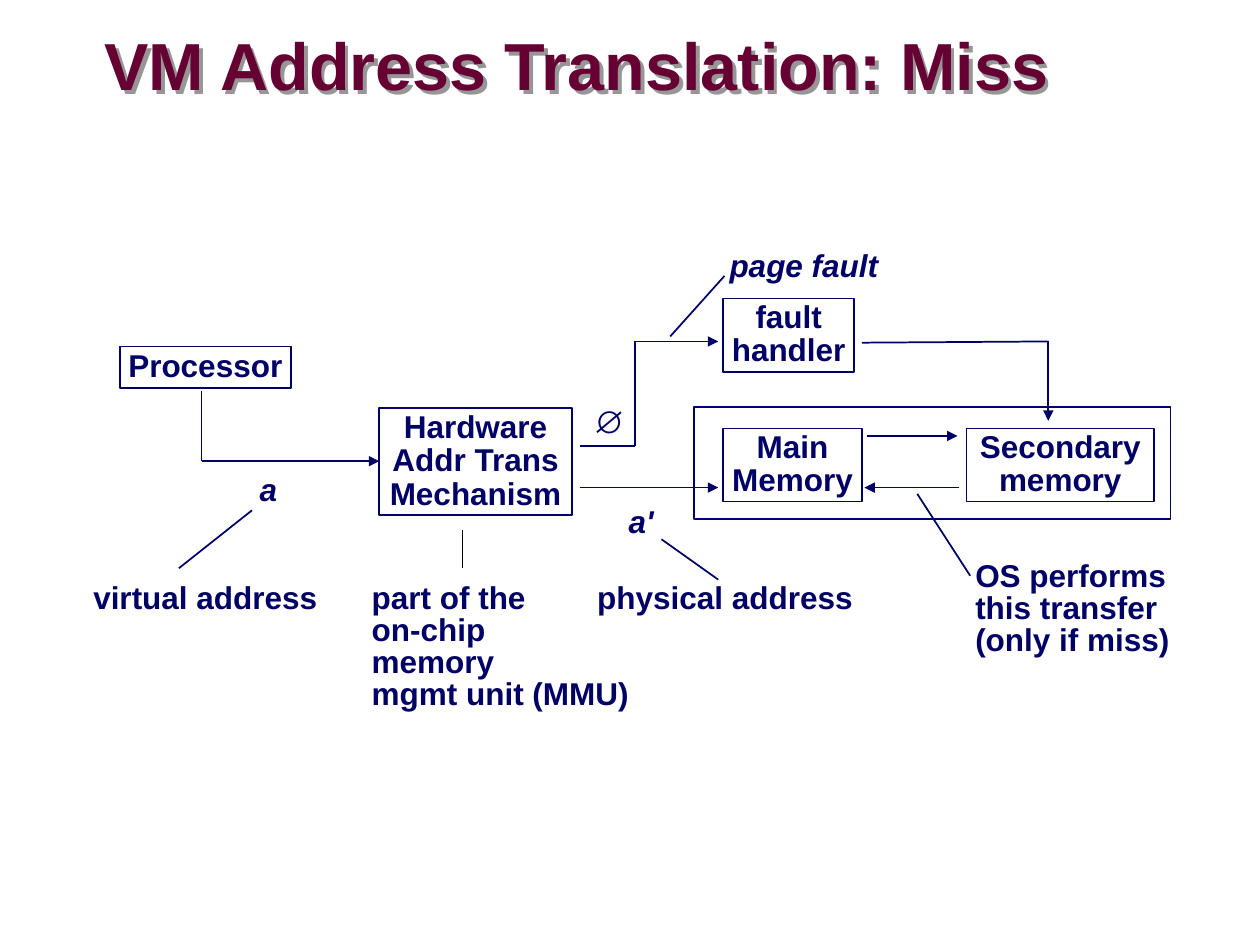
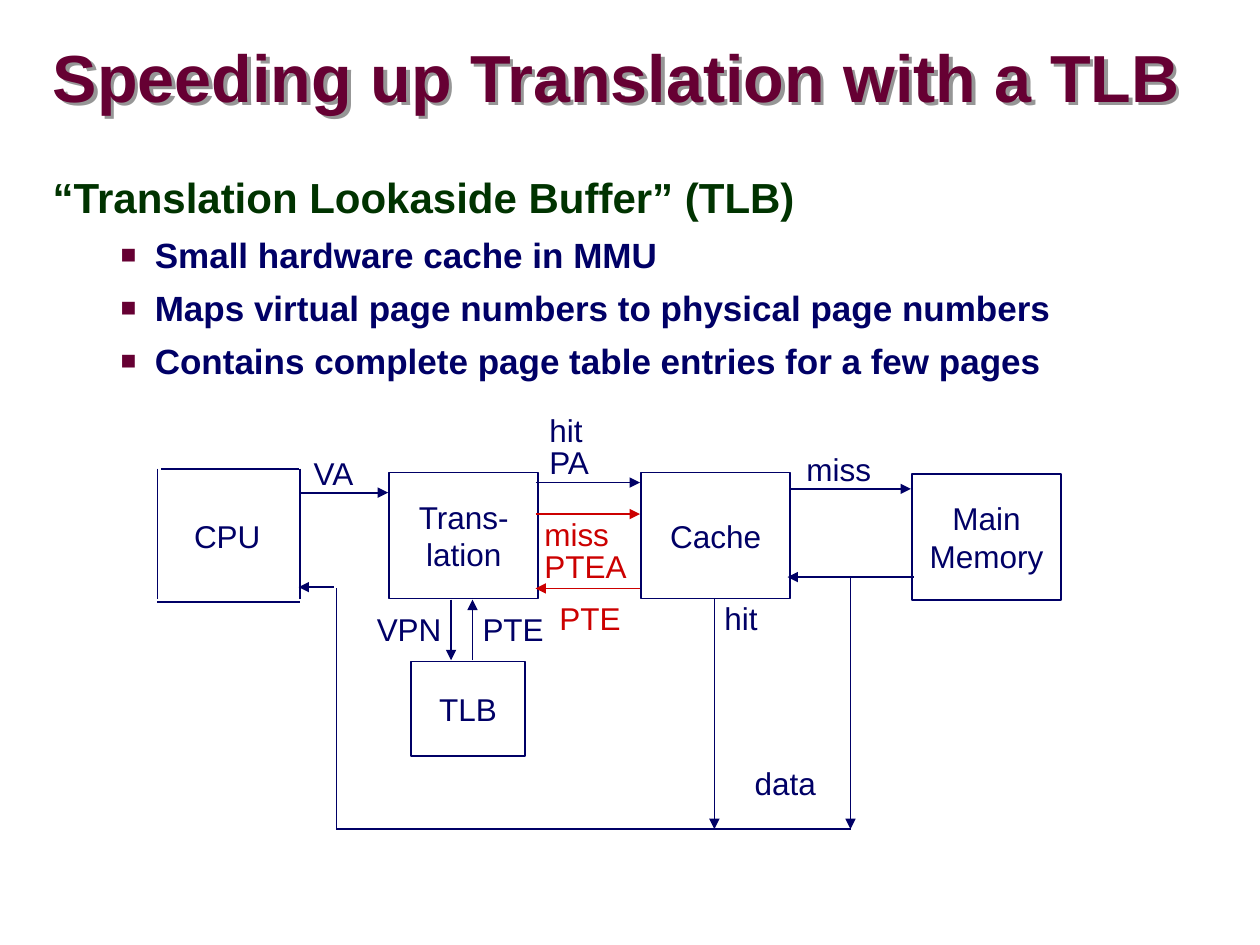
"""Build two slides on virtual memory address translation."""
from dataclasses import dataclass
from itertools import pairwise

from lxml.etree import SubElement
from pptx import Presentation
from pptx.dml.color import RGBColor
from pptx.enum.shapes import MSO_CONNECTOR as Connector, MSO_SHAPE as Preset
from pptx.enum.text import MSO_ANCHOR as Anchor, MSO_AUTO_SIZE as AutoSize, PP_ALIGN as Align
from pptx.oxml import parse_xml
from pptx.oxml.ns import nsdecls, qn
from pptx.util import Pt

EMU_PER_PX = 9144
LABEL_SLACK = 20


@dataclass(frozen=True)
class Theme:
    """Colours, font and type sizes shared by the slides."""
    font: str = "Arial"
    maroon: str = "660033"
    navy: str = "000066"
    green: str = "003300"
    red: str = "CC0000"
    black: str = "000000"
    shadow: str = "969696"
    title_size: int = 38
    heading_size: int = 24
    bullet_size: int = 20
    label_size: int = 18


THEME = Theme()


def px(length):
    """Turn px into EMU."""
    return length * EMU_PER_PX


def place(shape, bounds):
    """Move a shape to left, top, width, height in px."""
    shape.left, shape.top, shape.width, shape.height = map(px, bounds)


def format_paragraph(paragraph, size, color, bold=False, italic=False, spacing=1.0):
    """Set the line spacing and the look of the runs."""
    paragraph.line_spacing = spacing
    for run in paragraph.runs:
        font = run.font
        font.name, font.size, font.bold, font.italic = THEME.font, Pt(size), bold, italic
        font.color.rgb = RGBColor.from_string(color)


def set_insets(frame, horizontal, vertical):
    """Set equal side margins and equal top and bottom margins."""
    frame.margin_left = frame.margin_right = px(horizontal)
    frame.margin_top = frame.margin_bottom = px(vertical)


def add_title_slide(presentation, title, bounds):
    """Add a title-only slide with a shadowed title."""
    slide = presentation.slides.add_slide(presentation.slide_layouts[5])
    shape = slide.shapes.title
    place(shape, bounds)
    shape.fill.background()
    shape._element.spPr.append(parse_xml(
        f'<a:effectLst {nsdecls("a")}><a:outerShdw dist="{px(4)}" dir="2700000" algn="ctr" '
        f'rotWithShape="0"><a:srgbClr val="{THEME.shadow}"/></a:outerShdw></a:effectLst>'))
    frame = shape.text_frame
    frame.text = title
    frame.auto_size = AutoSize.NONE
    frame.vertical_anchor = Anchor.MIDDLE
    set_insets(frame, 0, 0)
    paragraph = frame.paragraphs[0]
    paragraph.alignment = Align.LEFT
    format_paragraph(paragraph, THEME.title_size, THEME.maroon, bold=True, spacing=0.87)
    return slide


def add_box(slide, bounds, text="", bold=False, spacing=1.0, wrap=False):
    """Add an outlined rectangle with centred text."""
    shape = slide.shapes.add_shape(Preset.RECTANGLE, *map(px, bounds))
    shape.shadow.inherit = False
    shape.fill.background()
    shape.line.color.rgb = RGBColor.from_string(THEME.navy)
    shape.line.width = Pt(1)
    frame = shape.text_frame
    frame.text = text
    frame.word_wrap = wrap
    frame.vertical_anchor = Anchor.MIDDLE
    set_insets(frame, 7, 3)
    for paragraph in frame.paragraphs:
        paragraph.alignment = Align.CENTER
        format_paragraph(paragraph, THEME.label_size, THEME.navy, bold, spacing=spacing)


def add_label(slide, bounds, text, color=THEME.navy, bold=False, italic=False):
    """Add a free-standing label with spare width so that its lines never break."""
    left, top, width, height = bounds
    frame = slide.shapes.add_textbox(
        *map(px, (left, top, width + LABEL_SLACK, height))).text_frame
    frame.text = text
    frame.word_wrap = True
    frame.auto_size = AutoSize.NONE
    set_insets(frame, 7, 3)
    for paragraph in frame.paragraphs:
        format_paragraph(paragraph, THEME.label_size, color, bold, italic, 0.85)


def add_route(slide, *points, color=THEME.navy, width=1, arrow=False):
    """Join points with straight lines, with an optional arrowhead at the end."""
    for start, end in pairwise(points):
        connector = slide.shapes.add_connector(
            Connector.STRAIGHT, *map(px, start), *map(px, end))
        connector.line.color.rgb = RGBColor.from_string(color)
        connector.line.width = Pt(width)
        SubElement(connector._element.spPr, qn("a:effectLst"))
    if arrow:
        SubElement(connector.line._get_or_add_ln(), qn("a:tailEnd"), type="triangle")


def add_bullet(paragraph):
    """Give a paragraph a hanging square bullet."""
    properties = paragraph._p.get_or_add_pPr()
    properties.set("marL", str(px(81)))
    properties.set("indent", str(px(-27)))
    color = SubElement(properties, qn("a:buClr"))
    SubElement(color, qn("a:srgbClr"), val=THEME.maroon)
    SubElement(properties, qn("a:buSzPct"), val="75000")
    SubElement(properties, qn("a:buFont"), typeface=THEME.font)
    SubElement(properties, qn("a:buChar"), char="■")


def add_outline(slide, bounds, heading, bullets):
    """Add a heading followed by bullets."""
    frame = slide.shapes.add_textbox(*map(px, bounds)).text_frame
    frame.word_wrap = True
    set_insets(frame, 10, 5)
    frame.text = heading
    format_paragraph(frame.paragraphs[0], THEME.heading_size, THEME.green, True, spacing=0.95)
    for bullet in bullets:
        paragraph = frame.add_paragraph()
        paragraph.text = bullet
        paragraph.level = 1
        add_bullet(paragraph)
        paragraph.space_before = Pt(6.2)
        format_paragraph(paragraph, THEME.bullet_size, THEME.navy, bold=True)


def build_miss_slide(presentation):
    """Show the path of an address that misses main memory."""
    slide = add_title_slide(presentation, "VM Address Translation: Miss", (83, 25, 817, 61))
    add_box(slide, (95, 275, 136, 33), "Processor", bold=True, spacing=0.92)
    for bounds, text, wrap in (
        ((301, 324, 153, 85), "Hardware\nAddr Trans\nMechanism", True),
        ((574, 237, 104, 58), "fault\nhandler", False),
        ((574, 340, 110, 58), "Main\nMemory", False),
        ((767, 340, 149, 58), "Secondary memory", True),
    ):
        add_box(slide, bounds, text, bold=True, spacing=0.88, wrap=wrap)
    add_box(slide, (551, 323, 378, 89))

    for points in (
        ((688, 346), (760, 346)),
        ((761, 387), (686, 387)),
        ((460, 387), (570, 387)),
        ((460, 354), (504, 354), (504, 271), (570, 271)),
        ((684, 272), (832, 271), (832, 334)),
        ((160, 310), (160, 366), (301, 366)),
    ):
        add_route(slide, *points, arrow=True)
    for points in (
        ((575, 219), (532, 267)),
        ((570, 460), (525, 428)),
        ((728, 392), (770, 457)),
        ((142, 451), (200, 405)),
    ):
        add_route(slide, *points)
    add_route(slide, (367, 451), (367, 421), color=THEME.black, width=0.75)

    for bounds, text, italic in (
        ((199, 375, 28, 31), "a", True),
        ((492, 400, 34, 31), "a'", True),
        ((464, 321, 34, 31), "∅", False),
        ((572, 197, 132, 31), "page fault", True),
        ((467, 460, 217, 31), "physical address", False),
        ((767, 443, 168, 82), "OS performs\nthis transfer\n(only if miss)", False),
        ((67, 460, 192, 31), "virtual address", False),
        ((288, 460, 218, 108), "part of the\non-chip\nmemory\nmgmt unit (MMU)", False),
    ):
        add_label(slide, bounds, text, bold=True, italic=italic)


def build_tlb_slide(presentation):
    """Show how a TLB speeds up translation."""
    slide = add_title_slide(
        presentation, "Speeding up Translation with a TLB", (42, 33, 917, 63))
    add_outline(slide, (32, 134, 909, 183), "“Translation Lookaside Buffer” (TLB)", (
        "Small hardware cache in MMU",
        "Maps virtual page numbers to physical page numbers",
        "Contains complete page table entries for a few pages",
    ))
    for bounds, text in (
        ((309, 375, 118, 100), "Trans-\nlation"),
        ((509, 375, 118, 100), "Cache"),
        ((724, 376, 118, 100), "Main\nMemory"),
        ((326, 525, 91, 75), "TLB"),
    ):
        add_box(slide, bounds, text)

    for points in (
        ((128, 372), (237, 372)),
        ((238, 372), (238, 475)),
        ((238, 478), (125, 478)),
        ((125, 372), (125, 475)),
        ((675, 658), (267, 658), (267, 467)),
    ):
        add_route(slide, *points)
    for start, end in (
        ((238, 391), (308, 391)),
        ((425, 383), (508, 383)),
        ((627, 388), (723, 388)),
        ((675, 458), (675, 658)),
        ((265, 466), (237, 466)),
        ((725, 458), (625, 458)),
        ((567, 475), (567, 658)),
        ((358, 476), (358, 524)),
        ((375, 524), (375, 476)),
    ):
        add_route(slide, start, end, arrow=True)
    for start, end in (((425, 408), (508, 408)), ((508, 467), (425, 467))):
        add_route(slide, start, end, color=THEME.red, arrow=True)

    for bounds, text in (
        ((147, 412, 67, 31), "CPU"),
        ((242, 362, 47, 31), "VA"),
        ((429, 328, 40, 31), "hit"),
        ((429, 353, 47, 31), "PA"),
        ((633, 359, 65, 31), "miss"),
        ((568, 477, 40, 31), "hit"),
        ((592, 608, 63, 31), "data"),
        ((292, 486, 65, 31), "VPN"),
        ((376, 486, 63, 31), "PTE"),
    ):
        add_label(slide, bounds, text)
    add_label(slide, (425, 410, 79, 57), "miss\nPTEA", THEME.red)
    add_label(slide, (437, 477, 63, 31), "PTE", THEME.red)


def main():
    """Build and save the presentation."""
    presentation = Presentation()
    presentation.slide_width, presentation.slide_height = px(1000), px(750)
    build_miss_slide(presentation)
    build_tlb_slide(presentation)
    presentation.save("out.pptx")


if __name__ == "__main__":
    main()
